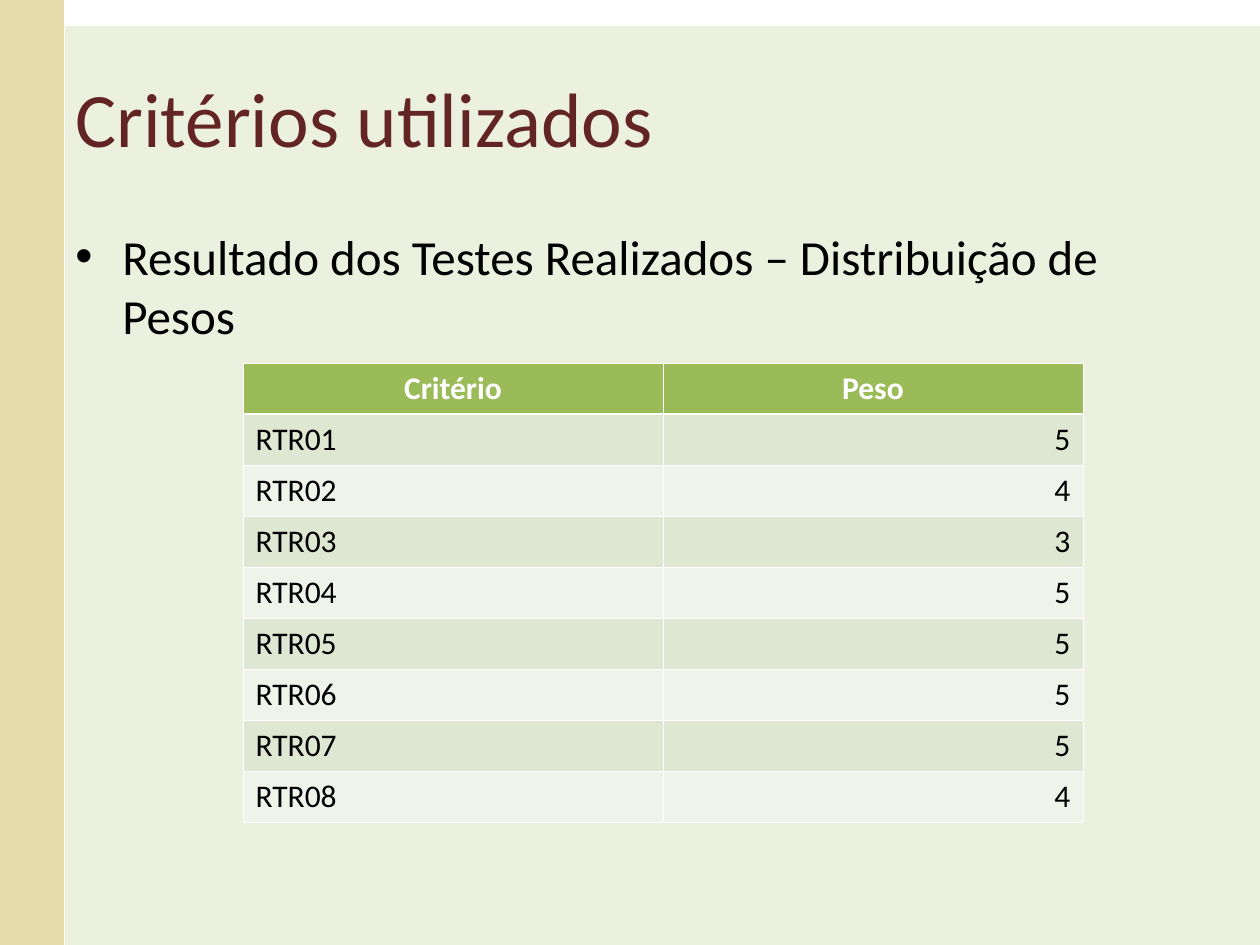
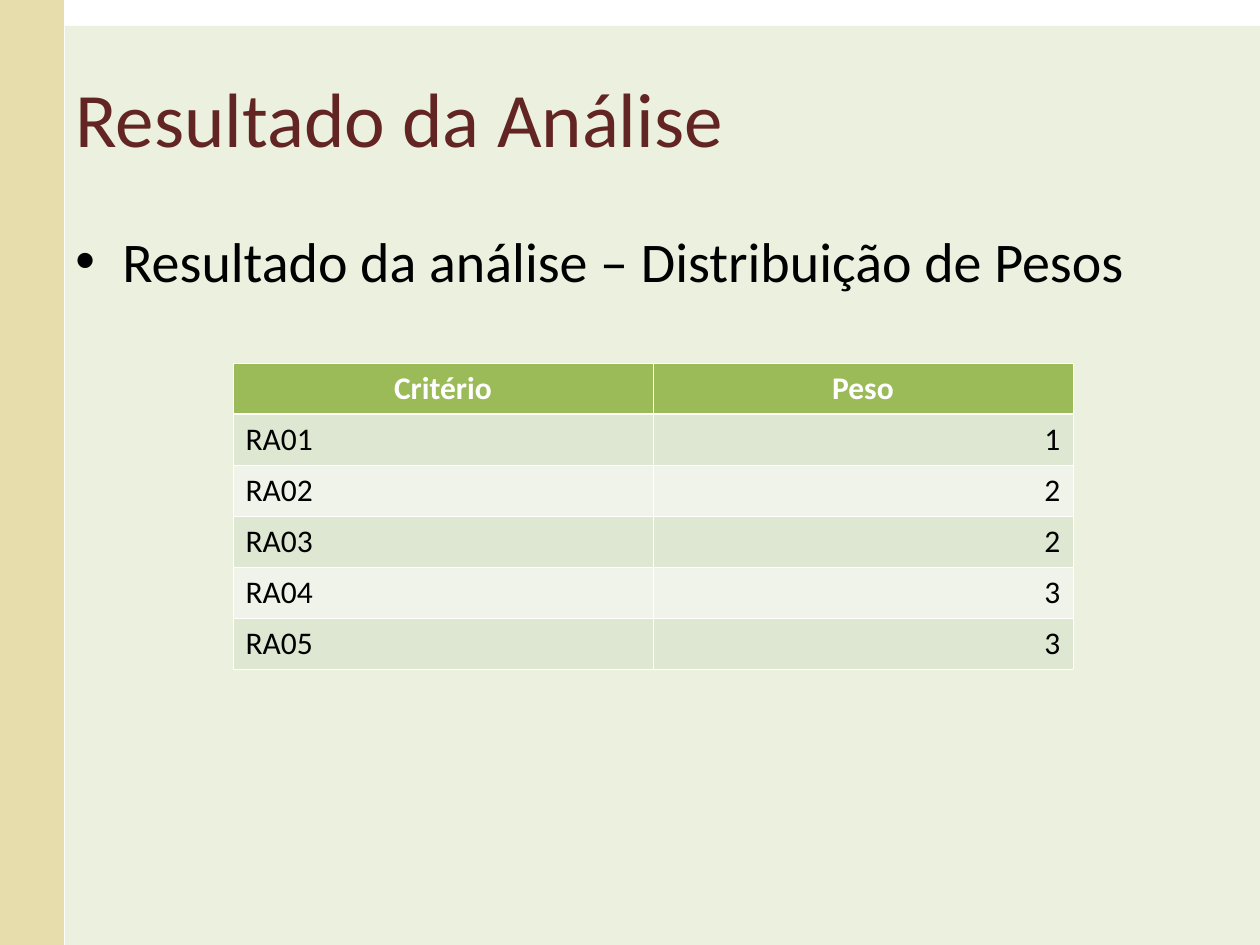
from dataclasses import dataclass

from lxml import etree
from pptx import Presentation
from pptx import util as u
from pptx.dml.color import RGBColor
from pptx.enum import shapes, text
from pptx.oxml.ns import qn

PX = 914400 / 126  # EMU per px
WIDTH, HEIGHT = 1260, 945
FONT = "Calibri"
COLORS = {
    "band": "E6DCAC",
    "panel": "EBF1DE",
    "title": "632523",
    "text": "000000",
    "white": "FFFFFF",
    "header": "9BBB59",
    "odd": "DEE7D1",
    "even": "EFF3EA",
}
COL_W, ROW_H, TABLE_TOP = 420, 51, 363
THIN, THICK = 0.45, 1.47  # cell border widths in points
ALIGN = text.PP_ALIGN


@dataclass
class Box:
    left: int
    top: int
    width: int
    height: int

    def emu(self) -> list[int]:
        return [px(n) for n in (self.left, self.top, self.width, self.height)]


@dataclass
class WeightSlide:
    title: str
    bullet: str
    bullet_size: int
    space_before: int
    table_left: int
    prefix: str
    weights: list[int]


BANDS = [
    (Box(0, 0, 64, HEIGHT), "band"),
    (Box(65, 26, WIDTH - 65, HEIGHT - 26), "panel"),
]
TITLE_BOX = Box(63, 38, 1134, 157)
BODY_BOX = Box(63, 220, 1134, 624)

SLIDES = [
    WeightSlide("Critérios utilizados",
                "Resultado dos Testes Realizados – Distribuição de Pesos",
                28, 7, 243, "RTR", [5, 4, 3, 5, 5, 5, 5, 4]),
    WeightSlide("Resultado da Análise",
                "Resultado da análise – Distribuição de Pesos",
                32, 8, 233, "RA", [1, 2, 2, 3, 3]),
]


def px(n: int) -> int:
    return u.Emu(round(n * PX))


def rgb(name: str) -> RGBColor:
    return RGBColor.from_string(COLORS[name])


def add_run(p, words: str, size: int, color: str, bold: bool = False) -> None:
    r = p.add_run()
    r.text = words
    r.font.name, r.font.size, r.font.bold = FONT, u.Pt(size), bold
    r.font.color.rgb = rgb(color)


def add_bands(s) -> None:
    for box, color in BANDS:
        sp = s.shapes.add_shape(shapes.MSO_SHAPE.RECTANGLE, *box.emu())
        sp.shadow.inherit = False
        sp.fill.solid()
        sp.fill.fore_color.rgb = rgb(color)
        sp.line.fill.background()


def add_text(s, box: Box, words: str, size: int, color: str, anchor):
    tf = s.shapes.add_textbox(*box.emu()).text_frame
    tf.word_wrap = True
    tf.vertical_anchor = anchor
    p = tf.paragraphs[0]
    add_run(p, words, size, color)
    return p


def set_bullet(p, indent: int) -> None:
    pPr = p._p.get_or_add_pPr()
    pPr.set("marL", str(px(indent)))
    pPr.set("indent", str(-px(indent)))
    etree.SubElement(pPr, qn("a:buFont")).set("typeface", "Arial")
    etree.SubElement(pPr, qn("a:buChar")).set("char", "•")


def set_borders(cell, top: float, bottom: float) -> None:
    tcPr = cell._tc.get_or_add_tcPr()
    for side, width in (("L", THIN), ("R", THIN), ("T", top), ("B", bottom)):
        ln = etree.SubElement(tcPr, qn(f"a:ln{side}"), w=str(u.Pt(width)))
        fill = etree.SubElement(ln, qn("a:solidFill"))
        etree.SubElement(fill, qn("a:srgbClr")).set("val", COLORS["white"])


def fill_cell(cell, words: str, row: int, align) -> None:
    header = row == 0
    # The rule below the header is thicker
    set_borders(cell, THICK if row == 1 else THIN, THICK if header else THIN)
    cell.fill.solid()
    cell.fill.fore_color.rgb = rgb("header" if header else "odd" if row % 2 else "even")
    p = cell.text_frame.paragraphs[0]
    p.alignment = ALIGN.CENTER if header else align
    add_run(p, words, 18, "white" if header else "text", header)


def add_weight_table(s, left: int, prefix: str, weights: list[int]) -> None:
    rows = [("Critério", "Peso")]
    rows += [(f"{prefix}{i:02}", str(w)) for i, w in enumerate(weights, 1)]
    box = Box(left, TABLE_TOP, 2 * COL_W, ROW_H * len(rows))
    table = s.shapes.add_table(len(rows), 2, *box.emu()).table
    for i, values in enumerate(rows):
        for j, align in enumerate((ALIGN.LEFT, ALIGN.RIGHT)):
            fill_cell(table.cell(i, j), values[j], i, align)


def build_slide(prs, data: WeightSlide) -> None:
    s = prs.slides.add_slide(prs.slide_layouts[6])
    add_bands(s)
    # Title and bullet
    add_text(s, TITLE_BOX, data.title, 44, "title", text.MSO_ANCHOR.MIDDLE)
    p = add_text(s, BODY_BOX, data.bullet, data.bullet_size, "text", text.MSO_ANCHOR.TOP)
    p.space_before = u.Pt(data.space_before)
    set_bullet(p, 47)
    # Weights
    add_weight_table(s, data.table_left, data.prefix, data.weights)


def main() -> None:
    prs = Presentation()
    prs.slide_width, prs.slide_height = px(WIDTH), px(HEIGHT)
    for data in SLIDES:
        build_slide(prs, data)
    prs.save("out.pptx")


if __name__ == "__main__":
    main()
